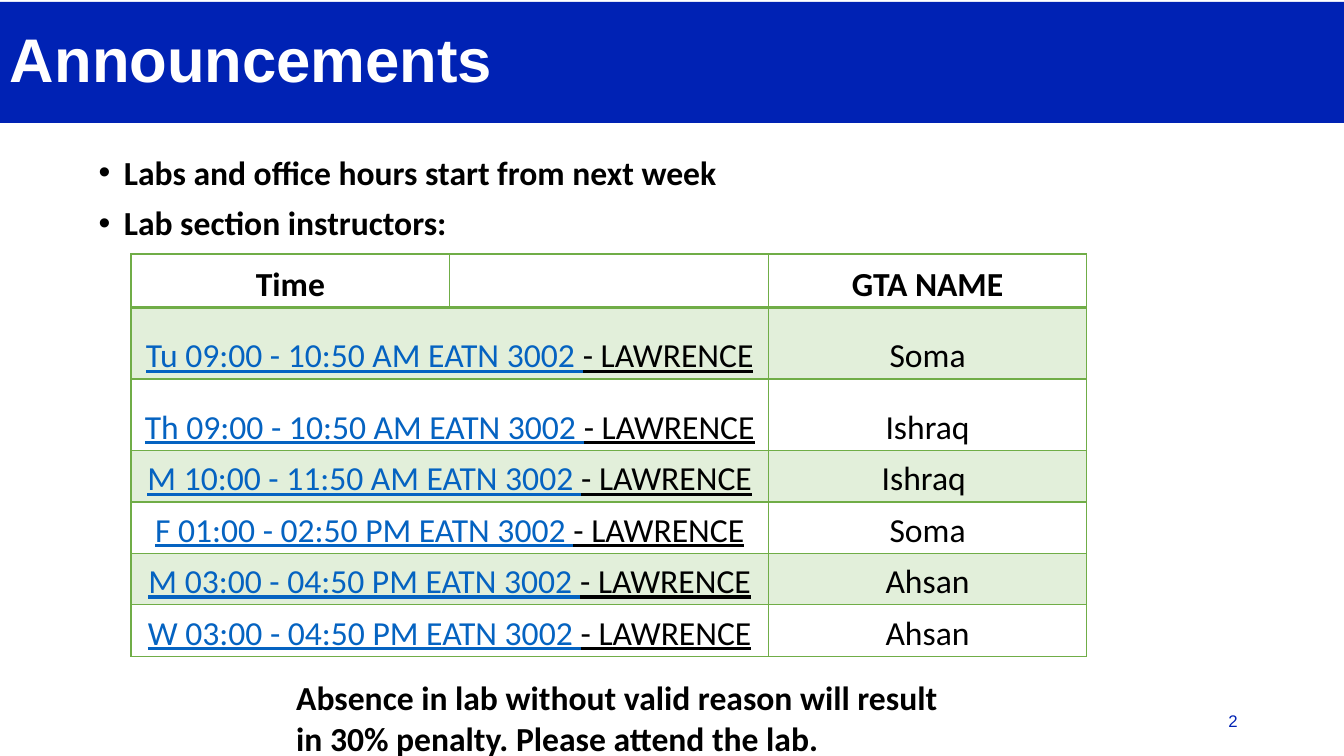
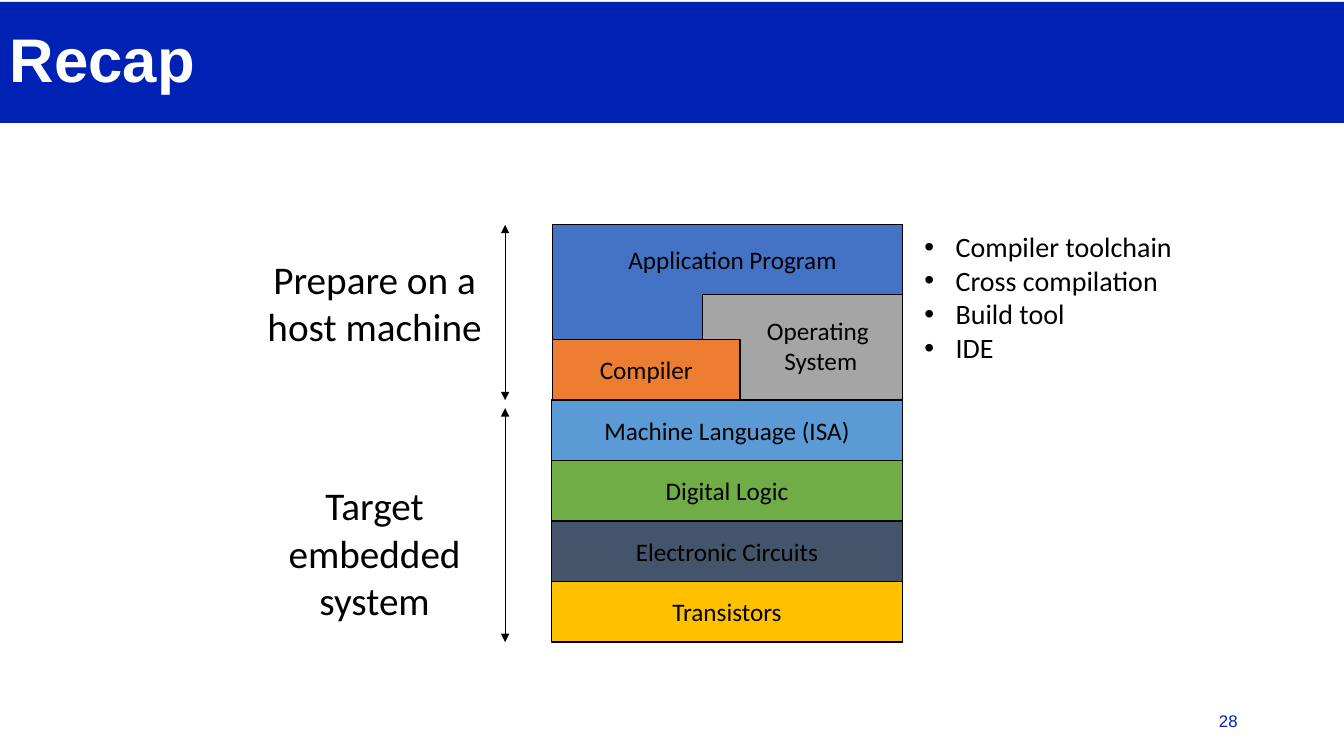
from lxml import etree
from pptx import Presentation
from pptx.dml.color import RGBColor
from pptx.enum.shapes import MSO_CONNECTOR, MSO_SHAPE
from pptx.enum.text import MSO_ANCHOR, PP_ALIGN
from pptx.oxml.ns import qn
from pptx.util import Inches, Pt

RECT = MSO_SHAPE.RECTANGLE
STRAIGHT = MSO_CONNECTOR.STRAIGHT
LEFT, CENTER, RIGHT = PP_ALIGN.LEFT, PP_ALIGN.CENTER, PP_ALIGN.RIGHT
TOP, MIDDLE, BOTTOM = MSO_ANCHOR.TOP, MSO_ANCHOR.MIDDLE, MSO_ANCHOR.BOTTOM

NAVY = RGBColor(0x00, 0x22, 0xB4)
WHITE = RGBColor(0xFF, 0xFF, 0xFF)
BLACK = RGBColor(0x00, 0x00, 0x00)
LINK = RGBColor(0x05, 0x63, 0xC1)
GREEN = RGBColor(0x70, 0xAD, 0x47)
PALE_GREEN = RGBColor(0xE2, 0xEF, 0xDA)
BLUE = RGBColor(0x44, 0x72, 0xC4)
SKY = RGBColor(0x5B, 0x9B, 0xD5)
SLATE = RGBColor(0x44, 0x54, 0x6A)
GOLD = RGBColor(0xFF, 0xC0, 0x00)
GRAY = RGBColor(0xA5, 0xA5, 0xA5)
ORANGE = RGBColor(0xED, 0x7D, 0x31)


def add_box(slide, left, top, width, height, fill=None, outlined=True):
    """Add a filled rectangle, or a text box when there is no fill."""
    rect = Inches(left), Inches(top), Inches(width), Inches(height)
    if fill is None:
        return slide.shapes.add_textbox(*rect)
    sp = slide.shapes.add_shape(RECT, *rect)
    sp.shadow.inherit = False
    sp.fill.solid()
    sp.fill.fore_color.rgb = fill
    if outlined:
        sp.line.color.rgb = BLACK
        sp.line.width = Pt(1)
    else:
        sp.line.fill.background()
    return sp


def write(tf, lines, size, font="Calibri", color=BLACK, bold=False, underline=False,
          align=LEFT, anchor=TOP, spacing=None, before=0, after=0, bullet_indent=None):
    """Fill a text frame; a line is a string or a list of (text, color) runs."""
    tf.word_wrap = True
    tf.vertical_anchor = anchor
    for i, line in enumerate(lines):
        p = tf.paragraphs[0] if i == 0 else tf.add_paragraph()
        p.alignment = align
        p.space_before, p.space_after = Pt(before), Pt(after)
        if spacing:
            p.line_spacing = spacing
        if bullet_indent:
            pPr = p._p.get_or_add_pPr()
            pPr.set("marL", str(Inches(bullet_indent)))
            pPr.set("indent", str(-Inches(bullet_indent)))
            etree.SubElement(pPr, qn("a:buFont"), typeface="Arial")
            etree.SubElement(pPr, qn("a:buChar"), char="•")
        for text, run_color in [(line, color)] if isinstance(line, str) else line:
            r = p.add_run()
            r.text = text
            r.font.size, r.font.name = Pt(size), font
            r.font.bold, r.font.underline = bold, underline
            r.font.color.rgb = run_color


prs = Presentation()
prs.slide_width, prs.slide_height = Inches(13.33), Inches(7.5)

# Shared title band and slide number
slides = []
for title, number in [("Announcements", "2 "), ("Recap", "28 ")]:
    slide = prs.slides.add_slide(prs.slide_layouts[6])
    band = add_box(slide, 0, 0.02, 13.33, 1.2, NAVY, outlined=False)
    write(band.text_frame, [title], 44, font="Arial", color=WHITE, bold=True,
          anchor=MIDDLE, spacing=0.9)
    sp = add_box(slide, 9.42, 6.95, 3, 0.4)
    write(sp.text_frame, [number], 12, font="Arial", color=NAVY, align=RIGHT, anchor=MIDDLE)
    slides.append(slide)
announcements, recap = slides

# Announcements
body = add_box(announcements, 0.88, 1.5, 10.71, 1)
write(body.text_frame, ["Labs and office hours start from next week", "Lab section instructors:"],
      24, bold=True, spacing=0.9, before=10, bullet_indent=0.25)

LABS = [
    ("Tu 09:00 - 10:50 AM", "Soma"),
    ("Th 09:00 - 10:50 AM", "Ishraq"),
    ("M 10:00 - 11:50 AM", "Ishraq "),
    ("F 01:00 - 02:50 PM", "Soma"),
    ("M 03:00 - 04:50 PM", "Ahsan"),
    ("W 03:00 - 04:50 PM", "Ahsan"),
]
ROW_HEIGHTS = [0.53, 0.71, 0.71] + [0.51] * 4
table = announcements.shapes.add_table(
    len(ROW_HEIGHTS), 3, Inches(1.3), Inches(2.52), Inches(9.48), Inches(sum(ROW_HEIGHTS))).table
table.first_row = table.horz_banding = False
for column in table.columns:
    column.width = Inches(3.16)
for i, height in enumerate(ROW_HEIGHTS):
    table.rows[i].height = Inches(height)
    for cell in table.rows[i].cells:
        tcPr = cell._tc.get_or_add_tcPr()
        for side in "LRTB":
            thick = (i == 0 and side == "B") or (i == 1 and side == "T")
            ln = etree.SubElement(tcPr, qn("a:ln" + side), w=str(Pt(2 if thick else 1)))
            line_fill = etree.SubElement(ln, qn("a:solidFill"))
            etree.SubElement(line_fill, qn("a:srgbClr"), val=str(GREEN))
        if i % 2:
            cell.fill.solid()
            cell.fill.fore_color.rgb = PALE_GREEN
        else:
            cell.fill.background()

cell_texts = [(0, 0, "Time"), (0, 2, "GTA NAME")]
for i, (time, name) in enumerate(LABS, start=1):
    table.cell(i, 0).merge(table.cell(i, 1))
    cell_texts += [(i, 0, [(time + " EATN 3002 ", LINK), ("- LAWRENCE", BLACK)]), (i, 2, name)]
for row, col, text in cell_texts:
    cell = table.cell(row, col)
    cell.margin_left = cell.margin_right = Inches(0.03)
    cell.margin_top = cell.margin_bottom = Inches(0.02)
    write(cell.text_frame, [text], 24, bold=row == 0, underline=row > 0 and col == 0,
          align=CENTER, spacing=1.07, after=8)
    cell.vertical_anchor = BOTTOM

notice = add_box(announcements, 2.84, 6.67, 6.8, 0.91)
write(notice.text_frame, ["Absence in lab without valid reason will result in 30% penalty. "
                          "Please attend the lab."], 24, bold=True)

# Recap: layers of a computing system
LAYER_HEIGHT = 0.6
add_box(recap, 5.48, 2.23, 3.47, 4.14, BLUE)
add_box(recap, 6.97, 2.92, 1.98, 1.05, GRAY)
layers = [("Compiler", ORANGE, 5.48, 3.37, 1.86)]
for i, (name, fill) in enumerate([("Machine Language (ISA)", SKY), ("Digital Logic", GREEN),
                                  ("Electronic Circuits", SLATE), ("Transistors", GOLD)]):
    layers.append((name, fill, 5.47, 3.97 + i * LAYER_HEIGHT, 3.48))
for name, fill, left, top, width in layers:
    sp = add_box(recap, left, top, width, LAYER_HEIGHT, fill)
    write(sp.text_frame, [name], 18, align=CENTER, anchor=MIDDLE)

LABELS = [
    (["Application Program"], 18, 6.02, 2.37, 2.49, 0.4),
    (["Operating ", "System"], 18, 7.5, 3.08, 1.28, 0.71),
    (["Prepare on a host machine"], 28, 2.24, 2.48, 2.95, 1.04),
    (["Target embedded system"], 28, 2.24, 4.73, 2.95, 1.51),
]
for lines, size, *rect in LABELS:
    write(add_box(recap, *rect).text_frame, lines, size, align=CENTER)

for top, bottom in [(2.23, 3.97), (4.05, 6.37)]:
    arrow = recap.shapes.add_connector(STRAIGHT, Inches(5.01), Inches(top),
                                       Inches(5.01), Inches(bottom))
    arrow.line.color.rgb = BLACK
    arrow.line.width = Pt(0.5)
    ln = arrow.line._get_or_add_ln()
    for end in ("a:headEnd", "a:tailEnd"):
        etree.SubElement(ln, qn(end), type="triangle")
    etree.SubElement(arrow._element.spPr, qn("a:effectLst"))

topics = add_box(recap, 9.07, 2.23, 3, 1.45)
write(topics.text_frame, ["Compiler toolchain", "Cross compilation", "Build tool", "IDE"], 20,
      bullet_indent=0.31)

prs.save("out.pptx")
